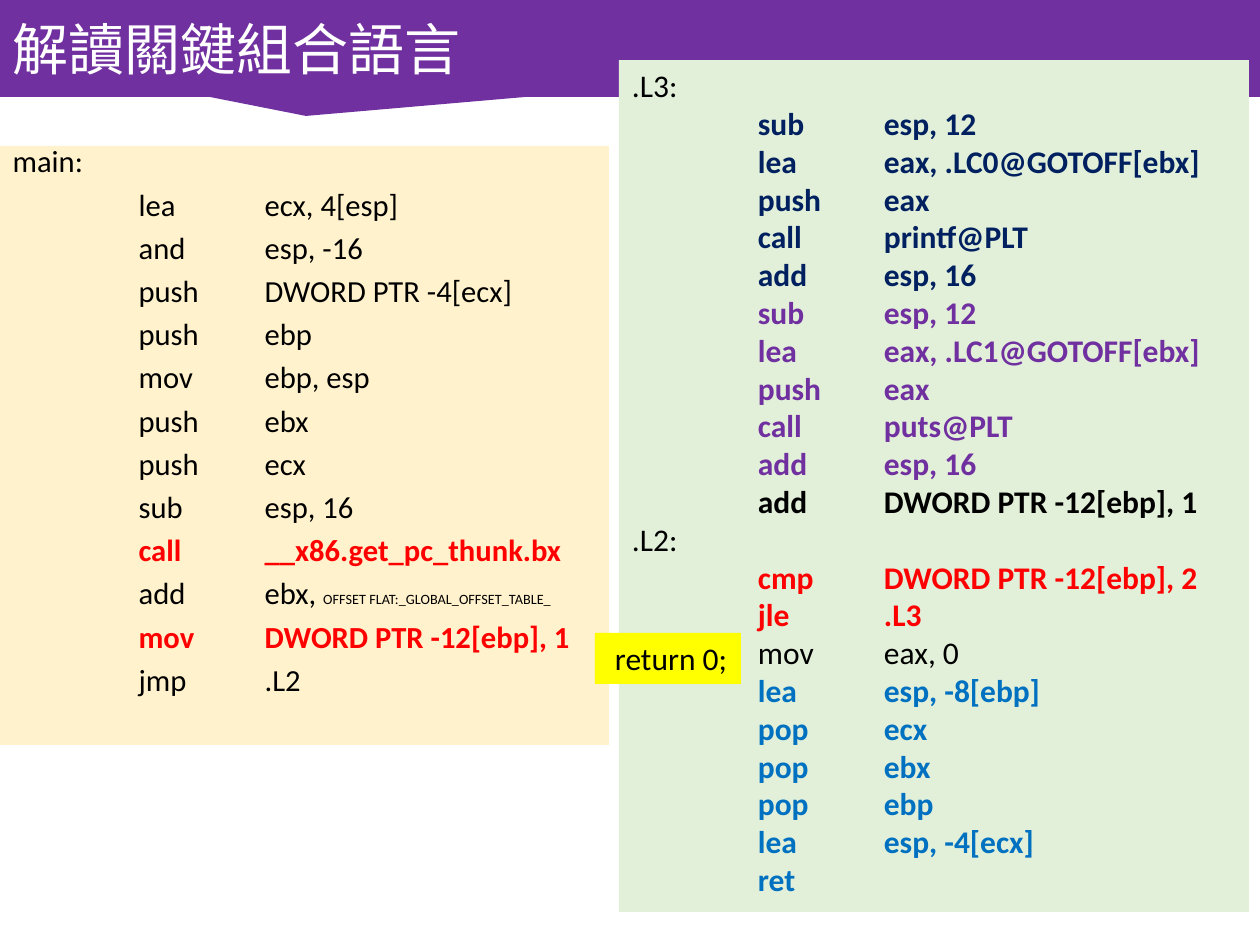
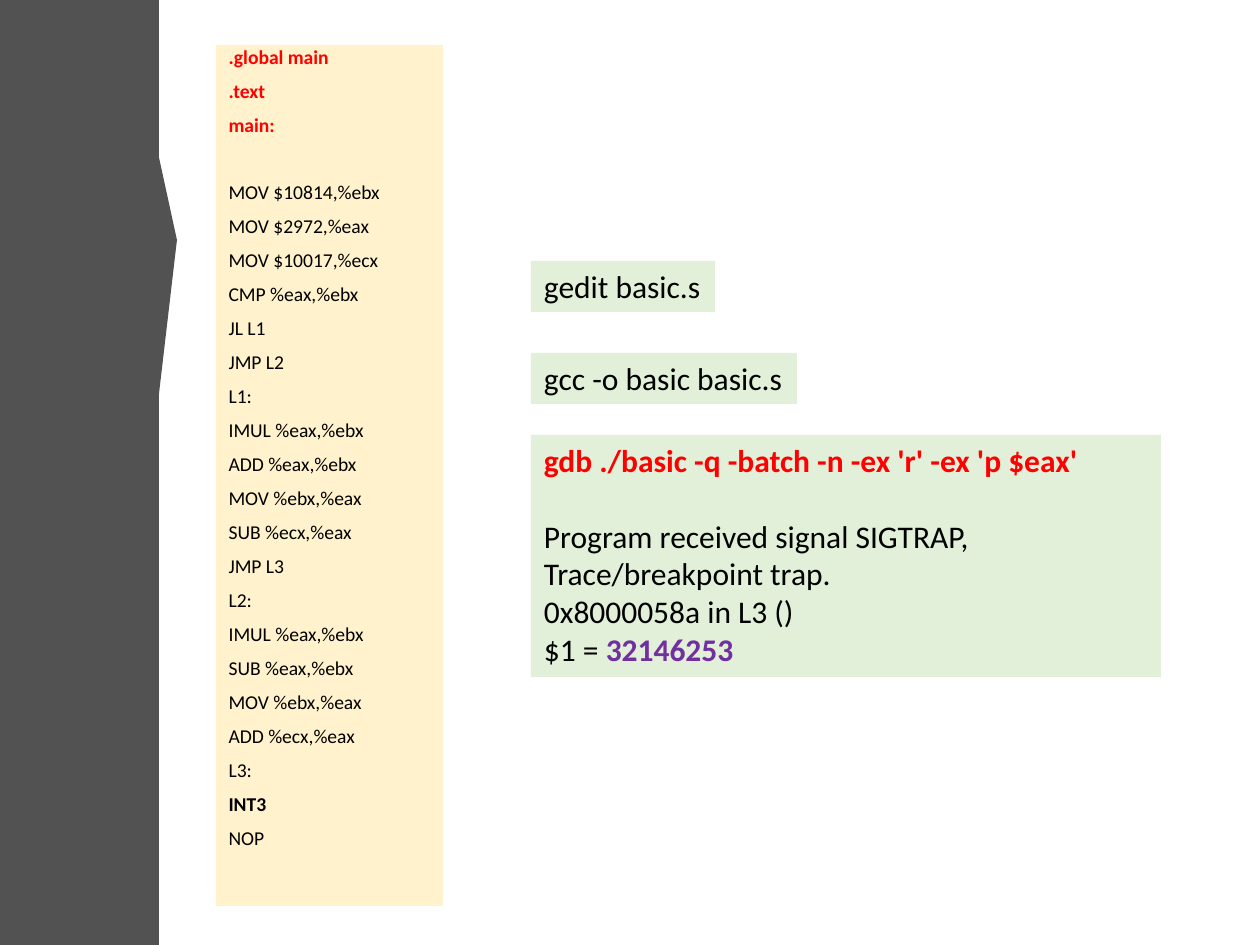
from lxml.etree import SubElement as Sub
from pptx import Presentation
from pptx.dml.color import RGBColor as RGB
from pptx.enum.shapes import MSO_SHAPE as Kind
from pptx.enum.text import MSO_ANCHOR as Anchor, MSO_AUTO_SIZE as Fit, PP_ALIGN as Align
from pptx.oxml.ns import qn
from pptx.util import Emu, Pt

# Content: each group is (style, lines, optional gap above in points);
# a line is a string or a tuple of (style, text) runs
TITLE = "解讀關鍵組合語言"

MAIN = [
    ("plain", ["main:", "\tlea\tecx, 4[esp]", "\tand\tesp, -16",
               "\tpush\tDWORD PTR -4[ecx]", "\tpush\tebp", "\tmov\tebp, esp",
               "\tpush\tebx", "\tpush\tecx", "\tsub\tesp, 16"]),
    ("red", ["\tcall\t__x86.get_pc_thunk.bx"]),
    ("plain", [(("plain", "\tadd\tebx, "),
                ("small", "OFFSET FLAT:_GLOBAL_OFFSET_TABLE_"))]),
    ("red", ["\tmov\tDWORD PTR -12[ebp], 1"]),
    ("plain", ["\tjmp\t.L2"]),
]

LOOP = [
    ("plain", [".L3:"]),
    ("navy", ["\tsub\tesp, 12", "\tlea\teax, .LC0@GOTOFF[ebx]", "\tpush\teax",
              "\tcall\tprintf@PLT", "\tadd\tesp, 16"]),
    ("violet", ["\tsub\tesp, 12", "\tlea\teax, .LC1@GOTOFF[ebx]", "\tpush\teax",
                "\tcall\tputs@PLT", "\tadd\tesp, 16"]),
    ("bold", ["\tadd\tDWORD PTR -12[ebp], 1"]),
    ("plain", [".L2:"]),
    ("red", ["\tcmp\tDWORD PTR -12[ebp], 2", "\tjle\t.L3"]),
    ("plain", ["\tmov\teax, 0"]),
    ("blue", ["\tlea\tesp, -8[ebp]", "\tpop\tecx", "\tpop\tebx", "\tpop\tebp",
              "\tlea\tesp, -4[ecx]", "\tret"]),
]

BASIC = [
    ("red", [".global main", ".text", "main:"]),
    ("plain", ["MOV $10814,%ebx", "MOV $2972,%eax", "MOV $10017,%ecx",
               "CMP %eax,%ebx", "JL L1", "JMP L2",
               "L1:", "IMUL %eax,%ebx", "ADD %eax,%ebx", "MOV %ebx,%eax",
               "SUB %ecx,%eax", "JMP L3",
               "L2:", "IMUL %eax,%ebx", "SUB %eax,%ebx", "MOV %ebx,%eax",
               "ADD %ecx,%eax", "L3:"], 19.2),
    ("bold", ["INT3"]),
    ("plain", ["NOP"]),
]

DEBUG = [
    ("red", ["gdb ./basic -q -batch -n -ex 'r' -ex 'p $eax'"]),
    ("plain", ["Program received signal SIGTRAP, Trace/breakpoint trap.",
               "0x8000058a in L3 ()",
               (("plain", "$1 = "), ("violet", "32146253"))], 21.5),
]

RETURN = [("plain", ["return 0;"])]
EDIT = [("plain", ["gedit basic.s"])]
BUILD = [("plain", ["gcc -o basic basic.s"])]

# Theme
THEME = {
    "font": "Calibri", "head": "Noto Sans CJK SC",
    "title": 32, "code": 18, "main": 17.5, "list": 11.2, "tight": 0.7, "lead": 10,
    "cream": "FFF2CC", "green": "E2F0D9", "yellow": "FFFF00",
    "purple": "7030A0", "gray": "525252",
}
STYLES = {
    "plain": {"color": "000000", "bold": False},
    "bold": {"color": "000000", "bold": True},
    "small": {"color": "000000", "bold": False, "size": 8.1},
    "red": {"color": "FF0000", "bold": True},
    "navy": {"color": "002060", "bold": True},
    "violet": {"color": "7030A0", "bold": True},
    "blue": {"color": "0070C0", "bold": True},
    "title": {"color": "FFFFFF", "bold": False},
}
SCALE = 914400 / 126
TAB = 126
INSET = 13


def px(n):
    return Emu(round(n * SCALE))


def place(shape, box):
    for name, n in zip(("left", "top", "width", "height"), box):
        setattr(shape, name, px(n))


def paint(shape, color):
    shape.fill.solid()
    shape.fill.fore_color.rgb = RGB.from_string(THEME[color])


def ink(run, style, size, face="font"):
    look = {"size": size, **STYLES[style]}
    values = {"name": THEME[face], "size": Pt(look["size"]), "bold": look["bold"]}
    for key, value in values.items():
        setattr(run.font, key, value)
    run.font.color.rgb = RGB.from_string(look["color"])
    Sub(run._r.get_or_add_rPr(), qn("a:ea"), typeface=THEME[face])


def write(frame, groups, size, pitch=1, lead=0):
    first = True
    for style, lines, *gap in groups:
        for i, line in enumerate(lines):
            para = frame.paragraphs[0] if first else frame.add_paragraph()
            # No bullet, no indent, wide default tabs
            props = para._p.get_or_add_pPr()
            for key, n in (("marL", 0), ("indent", 0), ("defTabSz", TAB)):
                props.set(key, str(px(n)))
            Sub(props, qn("a:buNone"))
            extra = gap[0] if gap and i == 0 else 0
            values = {"alignment": Align.LEFT, "line_spacing": pitch,
                      "space_before": Pt(0 if first else lead + extra),
                      "space_after": Pt(0)}
            for key, value in values.items():
                setattr(para, key, value)
            for kind, text in [(style, line)] if isinstance(line, str) else line:
                run = para.add_run()
                run.text = text
                ink(run, kind, size)
            first = False


def listing(slide, box, groups, size):
    """Code in the body placeholder."""
    body = slide.placeholders[1]
    place(body, box)
    paint(body, "cream")
    body.text_frame.auto_size = Fit.NONE
    write(body.text_frame, groups, THEME[size], THEME["tight"], THEME["lead"])


def note(slide, box, groups, color="green", wrap=False, inset=INSET):
    """Filled text box."""
    shape = slide.shapes.add_textbox(*map(px, box))
    paint(shape, color)
    values = {"word_wrap": wrap, "auto_size": Fit.SHAPE_TO_FIT_TEXT,
              "margin_left": px(inset)}
    for key, value in values.items():
        setattr(shape.text_frame, key, value)
    write(shape.text_frame, groups, THEME["code"])


def band(slide, box, tip, color):
    """Callout band behind everything, pointing at tip."""
    shape = slide.shapes.add_shape(Kind.RECTANGULAR_CALLOUT, *map(px, box))
    shape.shadow.inherit = False
    paint(shape, color)
    shape.line.fill.background()
    for i, (start, span) in enumerate(zip(box[:2], box[2:])):
        shape.adjustments[i] = (tip[i] - start) / span - 0.5
    slide.shapes._spTree.insert(2, shape._element)


def heading(slide, box, text):
    title = slide.shapes.title
    place(title, box)
    frame = title.text_frame
    frame.auto_size = Fit.NONE
    frame.vertical_anchor = Anchor.MIDDLE
    para = frame.paragraphs[0]
    para.alignment = Align.LEFT
    run = para.add_run()
    run.text = text
    ink(run, "title", THEME["title"], "head")


def main():
    deck = Presentation()
    deck.slide_width, deck.slide_height = px(1260), px(945)
    layout = deck.slide_layouts[1]

    # Slide 1: reading the assembly
    slide = deck.slides.add_slide(layout)
    top = (0, 0, 1260, 97)
    band(slide, top, (306, 116), "purple")
    heading(slide, top, TITLE)
    listing(slide, (0, 146, 609, 599), MAIN, "main")
    note(slide, (619, 60, 630, 852), LOOP, wrap=True)
    note(slide, (595, 633, 146, 51), RETURN, "yellow", inset=20)

    # Slide 2: building and running
    slide = deck.slides.add_slide(layout)
    title = slide.shapes.title._element
    title.getparent().remove(title)
    band(slide, (0, 0, 159, 945), (177, 240), "gray")
    listing(slide, (216, 45, 227, 861), BASIC, "list")
    note(slide, (531, 261, 184, 51), EDIT)
    note(slide, (531, 353, 266, 51), BUILD)
    note(slide, (531, 435, 630, 242), DEBUG, wrap=True)

    deck.save("out.pptx")


if __name__ == "__main__":
    main()
